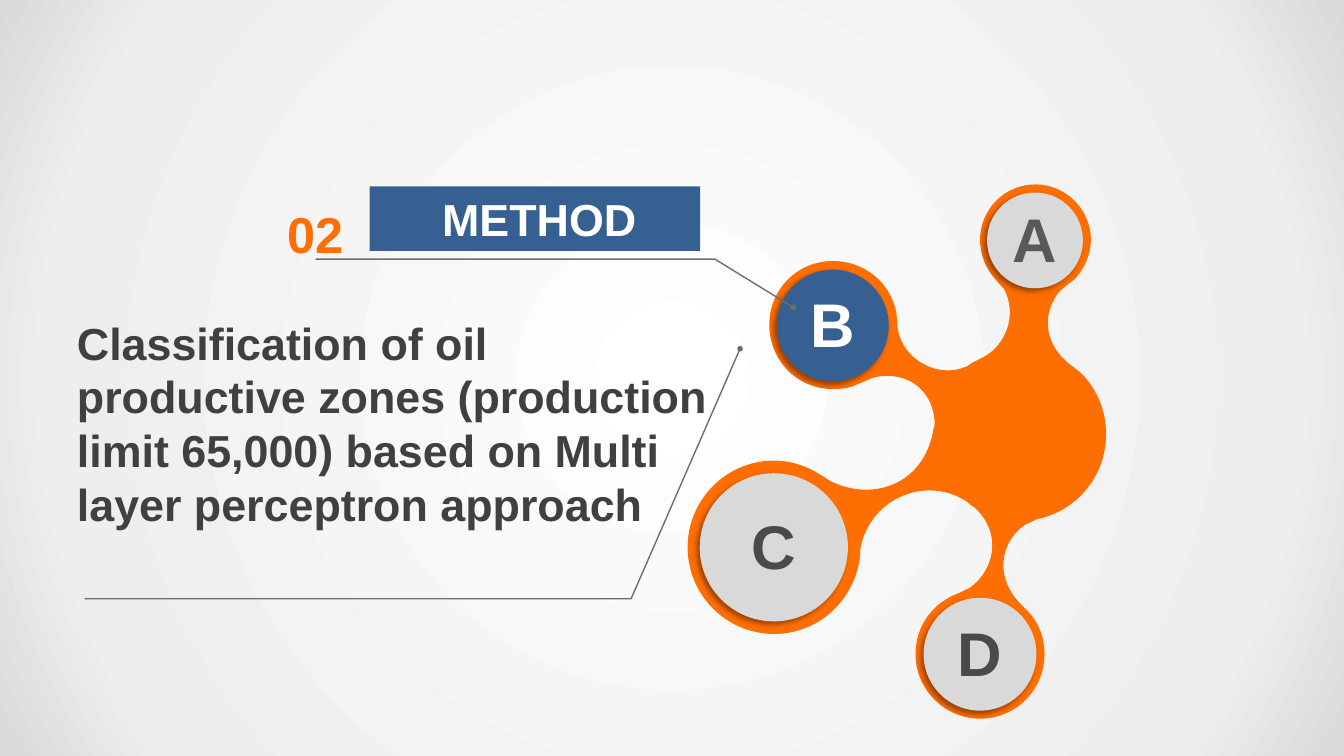
from lxml import etree
from pptx import Presentation
from pptx.dml.color import RGBColor
from pptx.enum.shapes import MSO_SHAPE
from pptx.enum.text import MSO_ANCHOR, PP_ALIGN
from pptx.oxml import parse_xml
from pptx.oxml.ns import nsdecls, qn
from pptx.util import Inches, Pt

OVAL, RECT = MSO_SHAPE.OVAL, MSO_SHAPE.RECTANGLE
TOP, MIDDLE = MSO_ANCHOR.TOP, MSO_ANCHOR.MIDDLE
LEFT, CENTER = PP_ALIGN.LEFT, PP_ALIGN.CENTER

GRID = Inches(0.01)
COLS, ROWS = 1333, 750
ORANGE, BLUE, GRAY, WHITE = "FF6E01", "376092", "D9D9D9", "FFFFFF"
DARK, LINE = "404040", "6D6D6D"
BACKDROP = [(0, "FFFFFF"), (81, "EEEEEE"), (100, "D9D9D9")]

NUMBER = "02"
TITLE = "METHOD"
BODY = ("Classification of oil productive zones (production limit 65,000) "
        "based on Multi layer perceptron approach")

NODES = [
    ("B", 826, 323, 111, BLUE, WHITE),
    ("D", 972, 649, 112, GRAY, "4A4A4A"),
    ("A", 1026.5, 238.5, 95, GRAY, "595959"),
    ("C", 767.5, 543, 147, GRAY, "4A4A4A"),
]
LEADERS = [
    [(734, 346), (626, 594), (84, 594)],
    [(787, 305), (709, 257), (313, 257)],
]
MOLECULE_START = (1027, 183)
MOLECULE = [
    (1057, 183, 1082, 208, 1082, 238), (1082, 253, 1075, 267, 1066, 277),
    (1058, 283), (1051, 289), (1035, 308, 1032, 340, 1063, 363), (1072, 370),
    (1088, 386, 1097, 407, 1097, 431), (1097, 472, 1068, 507, 1029, 515),
    (1016, 521), (990, 540, 988, 575, 1012, 599), (1017, 604),
    (1029, 615, 1036, 631, 1036, 649), (1036, 684, 1008, 713, 972, 713),
    (937, 713, 908, 684, 908, 649), (908, 622, 924, 600, 947, 590),
    (952, 588), (962, 583), (986, 566, 995, 529, 966, 503), (964, 502),
    (958, 497), (918, 472, 865, 494, 854, 541), (853, 547), (853, 552),
    (848, 595, 812, 629, 768, 629), (720, 629, 682, 590, 682, 543),
    (682, 496, 720, 457, 768, 457), (785, 457, 802, 463, 815, 472),
    (817, 473), (823, 477), (864, 498, 917, 482, 926, 425), (927, 422),
    (927, 419), (925, 383, 895, 367, 865, 375), (854, 380), (851, 381),
    (844, 385, 835, 386, 826, 386), (791, 386, 763, 358, 763, 322),
    (763, 287, 791, 259, 826, 259), (857, 259, 883, 280, 889, 310),
    (890, 320), (890, 353, 928, 378, 960, 363), (964, 360), (976, 354),
    (998, 342, 1009, 312, 996, 287), (988, 278),
    (978, 267, 972, 253, 972, 238), (972, 208, 996, 183, 1027, 183),
]


def color(value):
    return RGBColor.from_string(value)


def place(*cells):
    return [int(c * GRID) for c in cells]


def outline(slide, start, segments, close):
    builder = slide.shapes.build_freeform(*place(*start), scale=1.0)
    builder.add_line_segments([place(*seg[-2:]) for seg in segments], close=close)
    sp = builder.convert_to_shape()
    sp.shadow.inherit = False
    steps = list(sp._element.spPr.iter(qn("a:lnTo")))
    for step, seg in zip(steps, segments):
        if len(seg) == 6:
            curve = etree.Element(qn("a:cubicBezTo"))
            ctrl = place(*seg)
            for x, y in zip(ctrl[::2], ctrl[1::2]):
                etree.SubElement(curve, qn("a:pt"), x=str(x - sp.left), y=str(y - sp.top))
            step.getparent().replace(step, curve)
    return sp


def solid(sp, fill):
    sp.shadow.inherit = False
    sp.fill.solid()
    sp.fill.fore_color.rgb = color(fill)
    sp.line.fill.background()


def write(sp, text, size, ink, align=LEFT, anchor=TOP, insets=(10, 5, 10, 5), wrap=True):
    tf = sp.text_frame
    tf.word_wrap = wrap
    tf.vertical_anchor = anchor
    tf.margin_left, tf.margin_top, tf.margin_right, tf.margin_bottom = place(*insets)
    p = tf.paragraphs[0]
    p.text = text
    p.alignment = align
    p.font.name, p.font.size, p.font.bold = "Arial", Pt(size), True
    p.font.color.rgb = color(ink)


def backdrop(slide):
    stops = "".join(f'<a:gs pos="{pos * 1000}"><a:srgbClr val="{c}"/></a:gs>' for pos, c in BACKDROP)
    slide.background.fill.solid()
    bg_pr = slide.background._cSld.bg.bgPr
    bg_pr.replace(bg_pr[0], parse_xml(
        f'<a:gradFill {nsdecls("a")} rotWithShape="1"><a:gsLst>{stops}</a:gsLst>'
        '<a:path path="circle"><a:fillToRect l="50000" t="50000" r="50000" b="50000"/>'
        '</a:path></a:gradFill>'))


def node(slide, letter, cx, cy, size, fill, ink):
    sp = slide.shapes.add_shape(OVAL, *place(cx - size / 2, cy - size / 2, size, size))
    solid(sp, fill)
    sp._element.spPr.find(qn("a:effectLst")).append(parse_xml(
        f'<a:outerShdw {nsdecls("a")} blurRad="{Pt(4)}" dist="{Pt(3)}" dir="8100000" '
        'algn="tr" rotWithShape="0"><a:srgbClr val="000000"><a:alpha val="40000"/>'
        '</a:srgbClr></a:outerShdw>'))
    write(sp, letter, 44, ink, CENTER, MIDDLE, (2, 5, 2, 10))


def leader(slide, points):
    sp = outline(slide, points[0], points[1:], False)
    sp.fill.background()
    sp.line.color.rgb = color(LINE)
    sp.line.width = Pt(1)
    etree.SubElement(sp.line._get_or_add_ln(), qn("a:headEnd"), type="oval", w="sm", len="sm")


def main():
    prs = Presentation()
    prs.slide_width, prs.slide_height = place(COLS, ROWS)
    slide = prs.slides.add_slide(prs.slide_layouts[6])
    backdrop(slide)
    solid(outline(slide, MOLECULE_START, MOLECULE, True), ORANGE)
    for item in NODES:
        node(slide, *item)
    body = slide.shapes.add_textbox(*place(66.5, 308, 656, 266))
    write(body, BODY, 32, DARK)
    body_leader, title_leader = LEADERS
    leader(slide, body_leader)
    number = slide.shapes.add_textbox(*place(275, 197, 81, 57))
    write(number, NUMBER, 36, ORANGE, wrap=False)
    leader(slide, title_leader)
    title = slide.shapes.add_shape(RECT, *place(366.5, 185, 328, 64))
    solid(title, BLUE)
    write(title, TITLE, 32, WHITE, insets=(72, 5, 10, 5))
    prs.save("out.pptx")


if __name__ == "__main__":
    main()
